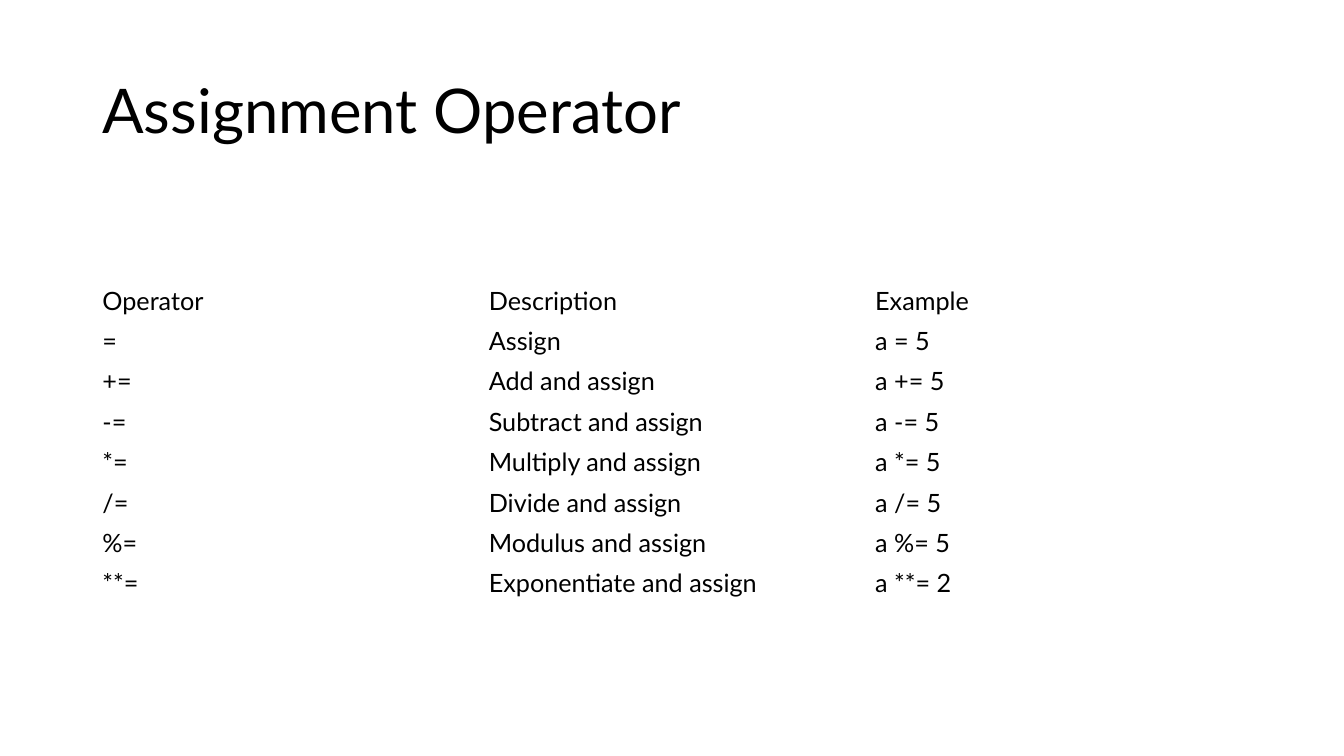
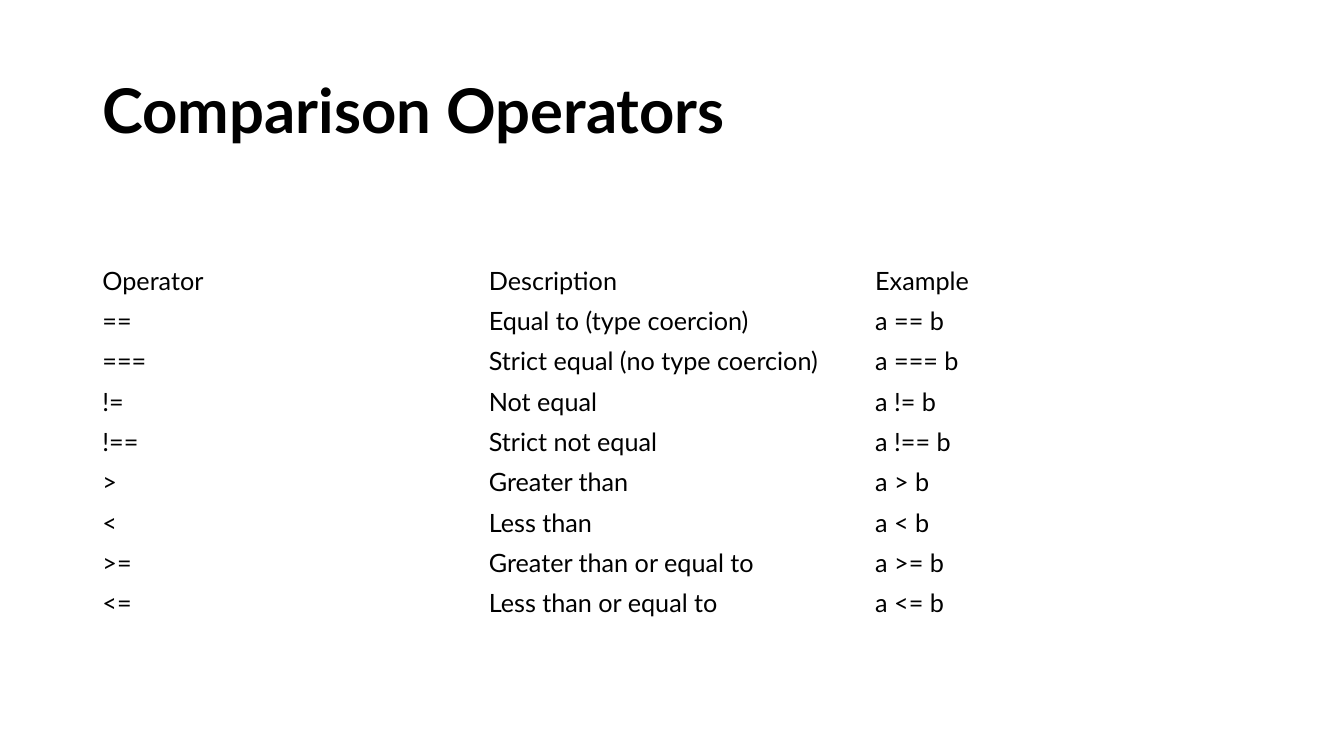
from pptx import Presentation
from pptx.dml.color import RGBColor
from pptx.enum.text import MSO_ANCHOR as ANCHOR
from pptx.util import Pt

# Shared style
BLACK = RGBColor(0x00, 0x00, 0x00)
FONT = "Lato"
LEFT, WIDTH = 66, 828
TITLE_TOP, TITLE_HEIGHT = 28.75, 104.4
ROW_HEIGHT = 28.8
TABLE_MIDDLE = 315.4
HEADER = ("Operator", "Description", "Example")

# Content: title, bold title, table rows
SLIDES = [
    ("Assignment Operator", False, [
        ("=", "Assign", "a = 5"),
        ("+=", "Add and assign", "a += 5"),
        ("-=", "Subtract and assign", "a -= 5"),
        ("*=", "Multiply and assign", "a *= 5"),
        ("/=", "Divide and assign", "a /= 5"),
        ("%=", "Modulus and assign", "a %= 5"),
        ("**=", "Exponentiate and assign", "a **= 2"),
    ]),
    ("Comparison Operators", True, [
        ("==", "Equal to (type coercion)", "a == b"),
        ("===", "Strict equal (no type coercion)", "a === b"),
        ("!=", "Not equal", "a != b"),
        ("!==", "Strict not equal", "a !== b"),
        (">", "Greater than", "a > b"),
        ("<", "Less than", "a < b"),
        (">=", "Greater than or equal to", "a >= b"),
        ("<=", "Less than or equal to", "a <= b"),
    ]),
]


def add_run(p, text, size, bold=False):
    r = p.add_run()
    r.text = text
    r.font.name = FONT
    r.font.size = Pt(size)
    r.font.bold = bold
    r.font.color.rgb = BLACK


prs = Presentation()
prs.slide_width, prs.slide_height = Pt(960), Pt(540)

for title, bold, body in SLIDES:
    s = prs.slides.add_slide(prs.slide_layouts[6])

    # Title
    sp = s.shapes.add_textbox(Pt(LEFT), Pt(TITLE_TOP), Pt(WIDTH), Pt(TITLE_HEIGHT))
    tf = sp.text_frame
    tf.word_wrap = True
    tf.vertical_anchor = ANCHOR.MIDDLE
    p = tf.paragraphs[0]
    p.line_spacing = 0.9
    add_run(p, title, 44, bold)

    # Operator table, centred on a common middle line
    rows = [HEADER] + body
    height = ROW_HEIGHT * len(rows)
    table = s.shapes.add_table(len(rows), len(HEADER), Pt(LEFT), Pt(TABLE_MIDDLE - height / 2),
                               Pt(WIDTH), Pt(height)).table
    table.first_row = table.horz_banding = False
    for i, row in enumerate(rows):
        for j, text in enumerate(row):
            cell = table.cell(i, j)
            cell.fill.background()
            cell.vertical_anchor = ANCHOR.MIDDLE
            add_run(cell.text_frame.paragraphs[0], text, 18)

prs.save("out.pptx")
